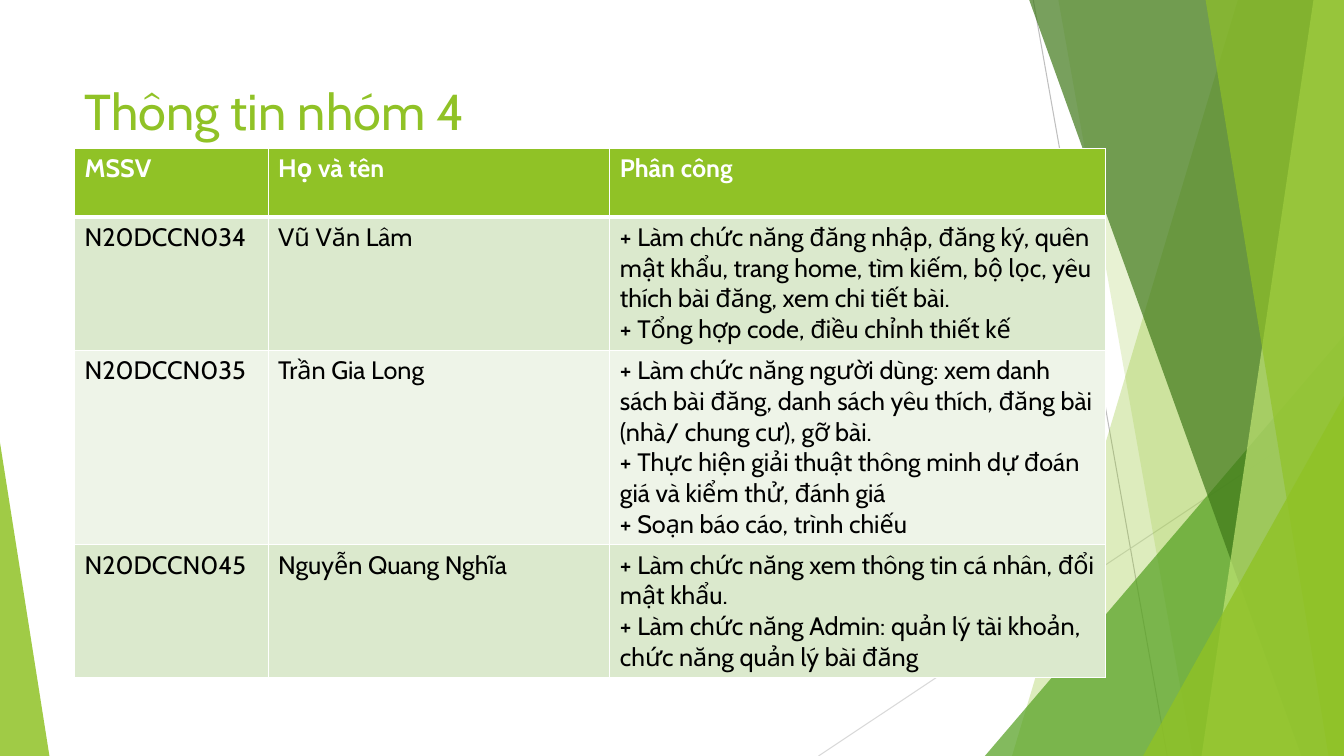
"""Build the group information slide: green facets, a title and the task table."""
from lxml import etree
from pptx import Presentation
from pptx.dml.color import RGBColor
from pptx.enum.shapes import MSO_CONNECTOR, MSO_SHAPE
from pptx.enum.text import MSO_ANCHOR
from pptx.oxml.ns import qn
from pptx.util import Inches, Pt

STRAIGHT = MSO_CONNECTOR.STRAIGHT
TRIANGLE = MSO_SHAPE.ISOSCELES_TRIANGLE
TOP = MSO_ANCHOR.TOP

THEME = {
    "font": "Cabin", "title": 36, "body": 18, "rule": 0.75, "border": 1, "header_border": 3,
    "green": "90C226", "mid": "54A021", "dark": "3F7819", "light": "C0E474",
    "white": "FFFFFF", "black": "000000", "line_1": "BFBFBF", "line_2": "D9D9D9",
    "band_1": "DBE9CD", "band_2": "EEF4E8",
}

prs = Presentation()
prs.slide_width, prs.slide_height = Inches(13.33), Inches(7.5)
s = prs.slides.add_slide(prs.slide_layouts[6])


def at(*percents):
    """Turn alternating x and y percentages of the slide into lengths."""
    sides = (prs.slide_width, prs.slide_height)
    return [round(v * sides[i % 2] / 100) for i, v in enumerate(percents)]


def add_text(p, text, size, color, bold=False):
    """Add one run to a paragraph."""
    r = p.add_run()
    r.text = text
    r.font.name, r.font.size, r.font.bold = THEME["font"], Pt(size), bold
    r.font.color.rgb = RGBColor.from_string(THEME[color])


for ends, color in [((76.88, 0, 86.85, 100), "line_1"), ((100, 53.73, 60.9, 100), "line_2")]:
    line = s.shapes.add_connector(STRAIGHT, *at(*ends))
    line.line.width = Pt(THEME["rule"])
    line.line.color.rgb = RGBColor.from_string(THEME[color])
    etree.SubElement(line._element.spPr, qn("a:effectLst"))

facets = [
    ("band", (92.1, 75.3), "green", 30),
    ("band", (78.75, 88.73), "green", 20),
    ("triangle", (73.28, 44.4, 26.72, 55.6, 1), "mid", 72),
    ("band", (76.58, 96.83), "dark", 70),
    ("band", (97.73, 89.4), "light", 70),
    ("band", (89.7, 98.85), "green", 65),
    ("triangle", (85.05, 52.4, 14.95, 47.6, 1), "green", 80),
    ("triangle", (0, 58.53, 3.68, 41.47, 0), "green", 85),
]
for kind, geometry, color, opacity in facets:
    if kind == "band":
        top_x, bottom_x = geometry
        outline = s.shapes.build_freeform(*at(top_x, 0))
        outline.add_line_segments([at(100, 0), at(100, 100), at(bottom_x, 100)], close=True)
        sp = outline.convert_to_shape()
    else:
        sp = s.shapes.add_shape(TRIANGLE, *at(*geometry[:4]))
        sp.adjustments[0] = geometry[4]
    sp.shadow.inherit = False
    sp.line.fill.background()
    sp.fill.solid()
    sp.fill.fore_color.rgb = RGBColor.from_string(THEME[color])
    rgb = sp._element.spPr.find(qn("a:solidFill"))[0]
    etree.SubElement(rgb, qn("a:alpha"), val=str(opacity * 1000))

tf = s.shapes.add_textbox(*at(5.55, 10, 70.5, 19.2)).text_frame
tf.word_wrap, tf.vertical_anchor = True, TOP
add_text(tf.paragraphs[0], "Thông tin nhóm 4", THEME["title"], "green")

rows = [
    ("MSSV", "Họ và tên", "Phân công"),
    ("N20DCCN034", "Vũ Văn Lâm",
     "+ Làm chức năng đăng nhập, đăng ký, quên mật khẩu, trang home, tìm kiếm, bộ lọc, "
     "yêu thích bài đăng, xem chi tiết bài.\n"
     "+ Tổng hợp code, điều chỉnh thiết kế"),
    ("N20DCCN035", "Trần Gia Long",
     "+ Làm chức năng người dùng: xem danh sách bài đăng, danh sách yêu thích, đăng bài "
     "(nhà/ chung cư), gỡ bài.\n"
     "+ Thực hiện giải thuật thông minh dự đoán giá và kiểm thử, đánh giá\n"
     "+ Soạn báo cáo, trình chiếu"),
    ("N20DCCN045", "Nguyễn Quang Nghĩa",
     "+ Làm chức năng xem thông tin cá nhân, đổi mật khẩu.\n"
     "+ Làm chức năng Admin: quản lý tài khoản, chức năng quản lý bài đăng"),
]
col_shares = (14.4, 25.43, 36.9)
row_shares = (9.07, 17.6, 25.73, 17.6)
fills = ("green", "band_1", "band_2", "band_1")
frame = at(5.55, 19.65, sum(col_shares), sum(row_shares))
table = s.shapes.add_table(len(rows), len(col_shares), *frame).table
for column, share in zip(table.columns, col_shares):
    column.width = at(share)[0]
for i, values in enumerate(rows):
    table.rows[i].height = at(0, row_shares[i])[1]
    header = i == 0
    for j, value in enumerate(values):
        cell = table.cell(i, j)
        cell.fill.solid()
        cell.fill.fore_color.rgb = RGBColor.from_string(THEME[fills[i]])
        for k, text in enumerate(value.split("\n")):
            p = cell.text_frame.add_paragraph() if k else cell.text_frame.paragraphs[0]
            add_text(p, text, THEME["body"], "white" if header else "black", header)
        for n, side in enumerate(("lnL", "lnR", "lnT", "lnB")):
            thick = (header and side == "lnB") or (i == 1 and side == "lnT")
            width = Pt(THEME["header_border" if thick else "border"])
            border = etree.Element(qn("a:" + side), w=str(width))
            fill = etree.SubElement(border, qn("a:solidFill"))
            etree.SubElement(fill, qn("a:srgbClr"), val=THEME["white"])
            cell._tc.get_or_add_tcPr().insert(n, border)

prs.save("out.pptx")
